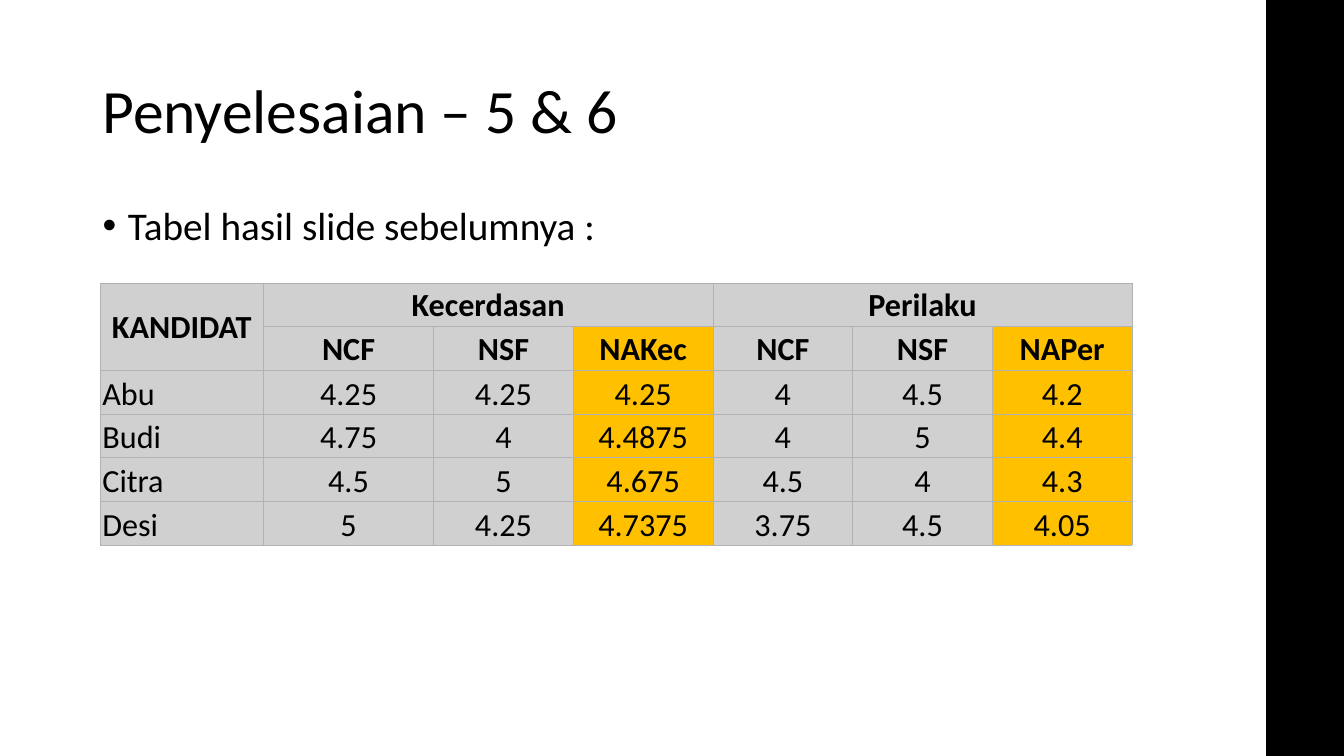
from dataclasses import dataclass
from lxml.etree import SubElement
from pptx import Presentation
from pptx.dml.color import RGBColor
from pptx.enum.shapes import MSO_SHAPE
from pptx.enum.text import MSO_ANCHOR, MSO_AUTO_SIZE, PP_ALIGN
from pptx.oxml.ns import qn
from pptx.util import Cm, Pt

# Content
TITLE = "Penyelesaian – 5 & 6"
LEAD = "Tabel hasil slide sebelumnya :"
ROWS = [
    ["KANDIDAT", "Kecerdasan", "", "", "Perilaku", "", ""],
    ["", "NCF", "NSF", "NAKec", "NCF", "NSF", "NAPer"],
    ["Abu", "4.25", "4.25", "4.25", "4", "4.5", "4.2"],
    ["Budi", "4.75", "4", "4.4875", "4", "5", "4.4"],
    ["Citra", "4.5", "5", "4.675", "4.5", "4", "4.3"],
    ["Desi", "5", "4.25", "4.7375", "3.75", "4.5", "4.05"],
]
SPANS = [((0, 0), (1, 0)), ((0, 1), (0, 3)), ((0, 4), (0, 6))]
HEADS = 2
TOTALS = (3, 6)
WIDTHS = [4.11, 4.29] + [3.52] * 5
ROW_H = 1.1


@dataclass
class Theme:
    font: str = "Calibri"
    ink: str = "000000"
    cell: str = "D0D0D0"
    total: str = "FFC000"
    rule: str = "B2B2B2"
    title: int = 44
    body: int = 28
    table: int = 23


theme = Theme()


def color(code):
    return RGBColor.from_string(code)


def style(par, size, bold=False):
    for run in par.runs:
        font = run.font
        font.name, font.size, font.bold = theme.font, Pt(size), bold
        font.color.rgb = color(theme.ink)


def place(shape, left, top, width, height):
    shape.left, shape.top = Cm(left), Cm(top)
    shape.width, shape.height = Cm(width), Cm(height)


def write(holder, text, size, anchor):
    frame = holder.text_frame
    frame.text = text
    frame.auto_size = MSO_AUTO_SIZE.NONE
    frame.vertical_anchor = anchor
    par = frame.paragraphs[0]
    par.alignment, par.line_spacing, par.space_before = PP_ALIGN.LEFT, 0.9, Pt(0)
    style(par, size)
    return par


def border(cell):
    props = cell._tc.get_or_add_tcPr()
    for side in ("a:lnL", "a:lnR", "a:lnT", "a:lnB"):
        line = SubElement(props, qn(side), w=str(Pt(0.5)))
        fill = SubElement(line, qn("a:solidFill"))
        SubElement(fill, qn("a:srgbClr"), val=theme.rule)


deck = Presentation()
deck.slide_width, deck.slide_height = Cm(33.87), Cm(19.05)
slide = deck.slides.add_slide(deck.slide_layouts[1])
title, body = slide.placeholders

# Black band on the right edge
band = slide.shapes.add_shape(
    MSO_SHAPE.RECTANGLE, Cm(31.93), 0, Cm(1.94), deck.slide_height)
band.shadow.inherit = False
band.fill.solid()
band.fill.fore_color.rgb = color(theme.ink)
band.line.color.rgb = color(theme.ink)
band.line.width = Pt(1)

# Title and lead line
place(title, 2.33, 1.01, 29.21, 3.68)
write(title, TITLE, theme.title, MSO_ANCHOR.MIDDLE)
place(body, 2.33, 5.07, 29.21, 12.09)
lead = write(body, LEAD, theme.body, MSO_ANCHOR.TOP)
props = lead._p.get_or_add_pPr()
props.set("marL", str(Cm(0.64)))
props.set("indent", str(-Cm(0.64)))
SubElement(props, qn("a:buFont"), typeface="Arial")
SubElement(props, qn("a:buChar"), char="•")

# Score table
table = slide.shapes.add_table(
    len(ROWS), len(WIDTHS), Cm(2.53), Cm(7.13),
    Cm(sum(WIDTHS)), Cm(ROW_H * len(ROWS))).table
for col, width in zip(table.columns, WIDTHS):
    col.width = Cm(width)
for row in table.rows:
    row.height = Cm(ROW_H)
for first, last in SPANS:
    table.cell(*first).merge(table.cell(*last))

for r, texts in enumerate(ROWS):
    head = r < HEADS
    for c, text in enumerate(texts):
        cell = table.cell(r, c)
        border(cell)
        cell.fill.solid()
        total = r > 0 and c in TOTALS
        cell.fill.fore_color.rgb = color(theme.total if total else theme.cell)
        cell.margin_left = cell.margin_right = cell.margin_top = Cm(0.05)
        cell.margin_bottom = 0
        cell.vertical_anchor = MSO_ANCHOR.MIDDLE if head else MSO_ANCHOR.BOTTOM
        if text:
            cell.text_frame.text = text
            par = cell.text_frame.paragraphs[0]
            par.alignment = PP_ALIGN.CENTER if head or c else PP_ALIGN.LEFT
            style(par, theme.table, head)

deck.save("out.pptx")
